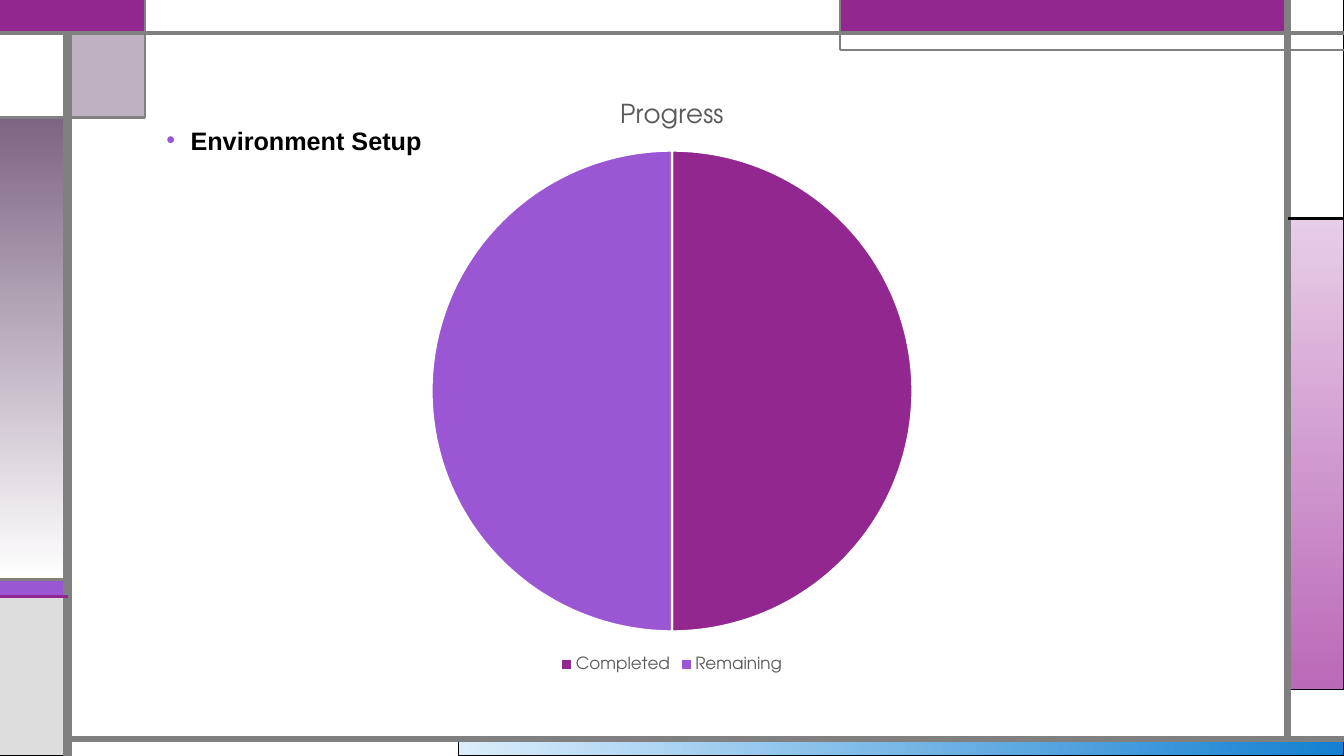
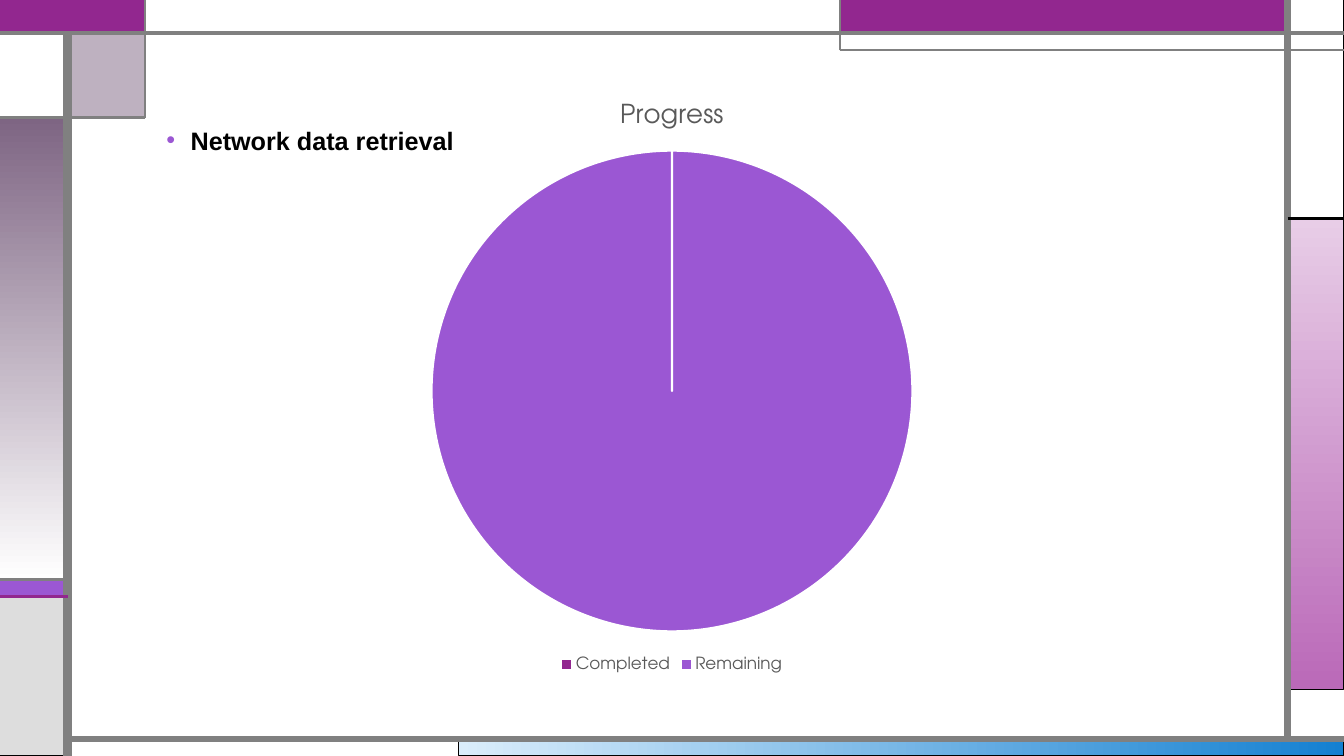
import pptx
import pptx.util
import pptx.dml.color
import pptx.chart.data
import pptx.enum.chart
import pptx.enum.shapes
import pptx.enum.text
import pptx.oxml.ns
import lxml.etree

Inches = pptx.util.Inches
Pt = pptx.util.Pt
qn = pptx.oxml.ns.qn

FACE = "TeX Gyre Adventor"
PLUM = "92278F"
LILAC = "9B57D3"
MAUVE = "7E6583"
GREY = "808080"
TEXT = "595959"
WHITE = "FFFFFF"
BLACK = "000000"

cols = [Inches(x) for x in (0, 0.67, 1.44, 4.55, 8.33, 12.77, 13.33)]
rows = [Inches(y) for y in (0, 0.33, 0.5, 1.17, 2.17, 5.75, 5.92, 6.84, 7.33, 7.5)]
wide, high = cols[-1], rows[-1]


def tint(code):
    return pptx.dml.color.RGBColor.from_string(code)


def style(font, size, code, face=FACE):
    font.size = Pt(size)
    font.name = face
    font.color.rgb = tint(code)


deck = pptx.Presentation()
deck.slide_width, deck.slide_height = wide, high
layout = deck.slide_layouts[5]

topics = [("Environment Setup", (50, 50)), ("Network data retrieval", (0, 100))]
slides = [deck.slides.add_slide(layout) for topic in topics]

bands = [
    (3, 8, 6, 9, ("DAEDFB", "1480D1", 0), BLACK, 0.75),
    (5, 4, 6, 7, ("E8CDE7", "BA69B8", 270), BLACK, 0.75),
    (0, 5, 1, 6, LILAC, BLACK, 0.75),
    (0, 6, 1, 9, "DDDDDD", BLACK, 0.75),
    (5, 0, 6, 4, WHITE, BLACK, 0.75),
    (4, 0, 5, 1, PLUM, "755DD9", 0.75),
    (1, 1, 2, 3, MAUVE, BLACK, 0.75),
    (0, 3, 1, 5, (MAUVE, WHITE, 270), BLACK, 0.75),
    (0, 1, 1, 3, WHITE, BLACK, 0.75),
    (0, 0, 2, 1, PLUM, PLUM, 1.5),
    (2, 0, 4, 1, WHITE, GREY, 0.75),
]
rules = [
    (1, 9, 1, 1, GREY, 6),
    (1, 8, 6, 8, GREY, 4.5),
    (5, 8, 5, 0, GREY, 4.5),
    (0, 1, 6, 1, GREY, 3),
    (6, 2, 4, 2, GREY, 1.5),
    (4, 2, 4, 0, GREY, 1.5),
    (5, 4, 6, 4, BLACK, 2.25),
    (2, 0, 2, 3, GREY, 1.5),
    (2, 3, 0, 3, GREY, 2.25),
    (1, 5, 0, 5, GREY, 2.25),
    (1, 6, 0, 6, PLUM, 2.25),
]

frame = []
shapes = slides[0].shapes
for left, top, right, low, fill, edge, width in bands:
    band = shapes.add_shape(
        pptx.enum.shapes.MSO_SHAPE.RECTANGLE,
        cols[left], rows[top], cols[right] - cols[left], rows[low] - rows[top])
    band.shadow.inherit = False
    if isinstance(fill, tuple):
        band.fill.gradient()
        band.fill.gradient_angle = fill[2]
        for stop, code in zip(band.fill.gradient_stops, fill):
            stop.color.rgb = tint(code)
    else:
        band.fill.solid()
        band.fill.fore_color.rgb = tint(fill)
        if fill == MAUVE:
            node = band.element.xpath("./p:spPr/a:solidFill/a:srgbClr")[0]
            lxml.etree.SubElement(node, qn("a:alpha"), val="50000")
    band.line.color.rgb = tint(edge)
    band.line.width = Pt(width)
    frame.append(band.element)

for left, top, right, low, code, width in rules:
    rule = shapes.add_connector(
        pptx.enum.shapes.MSO_CONNECTOR.STRAIGHT,
        cols[left], rows[top], cols[right], rows[low])
    rule.line.color.rgb = tint(code)
    rule.line.width = Pt(width)
    lxml.etree.SubElement(rule.element.spPr, qn("a:effectLst"))
    frame.append(rule.element)

for step, node in enumerate(frame):
    node.xpath(".//p:cNvPr")[0].set("id", str(100 + step))
    layout.shapes.element.insert(2 + step, node)

for slide, (topic, parts) in zip(slides, topics):
    title = slide.shapes.title
    title.left, title.top = Inches(1.55), Inches(1.19)
    title.width, title.height = Inches(3.4), Inches(0.5)
    box = title.text_frame
    box.word_wrap = True
    box.auto_size = pptx.enum.text.MSO_AUTO_SIZE.NONE
    box.vertical_anchor = pptx.enum.text.MSO_ANCHOR.TOP
    para = box.paragraphs[0]
    para.alignment = pptx.enum.text.PP_ALIGN.LEFT
    run = para.add_run()
    run.text = topic
    style(run.font, 18, BLACK, "Arial")
    run.font.bold = True
    props = para._p.get_or_add_pPr()
    props.set("marL", str(Inches(0.24)))
    props.set("indent", str(-Inches(0.24)))
    paint = lxml.etree.SubElement(props, qn("a:buClr"))
    lxml.etree.SubElement(paint, qn("a:srgbClr"), val=LILAC)
    lxml.etree.SubElement(props, qn("a:buFont"), typeface="Arial")
    lxml.etree.SubElement(props, qn("a:buChar"), char="•")

    data = pptx.chart.data.CategoryChartData()
    data.categories = ["Completed", "Remaining"]
    data.add_series("Progress", parts)
    chart = slide.shapes.add_chart(
        pptx.enum.chart.XL_CHART_TYPE.PIE,
        wide // 6, Inches(0.79), wide * 2 // 3, Inches(5.92), data).chart
    style(chart.font, 10, BLACK)
    chart.has_title = True
    head = chart.chart_title.text_frame.paragraphs[0].add_run()
    head.text = "Progress"
    style(head.font, 18.6, TEXT)
    head.font.bold = False
    chart.has_legend = True
    chart.legend.position = pptx.enum.chart.XL_LEGEND_POSITION.BOTTOM
    chart.legend.include_in_layout = False
    style(chart.legend.font, 12, TEXT)
    plot = chart.plots[0]
    plot.vary_by_categories = True
    for spot, code in enumerate((PLUM, LILAC)):
        wedge = plot.series[0].points[spot].format
        wedge.fill.solid()
        wedge.fill.fore_color.rgb = tint(code)
        wedge.line.color.rgb = tint(WHITE)
        wedge.line.width = Pt(1.5)

deck.save("out.pptx")
